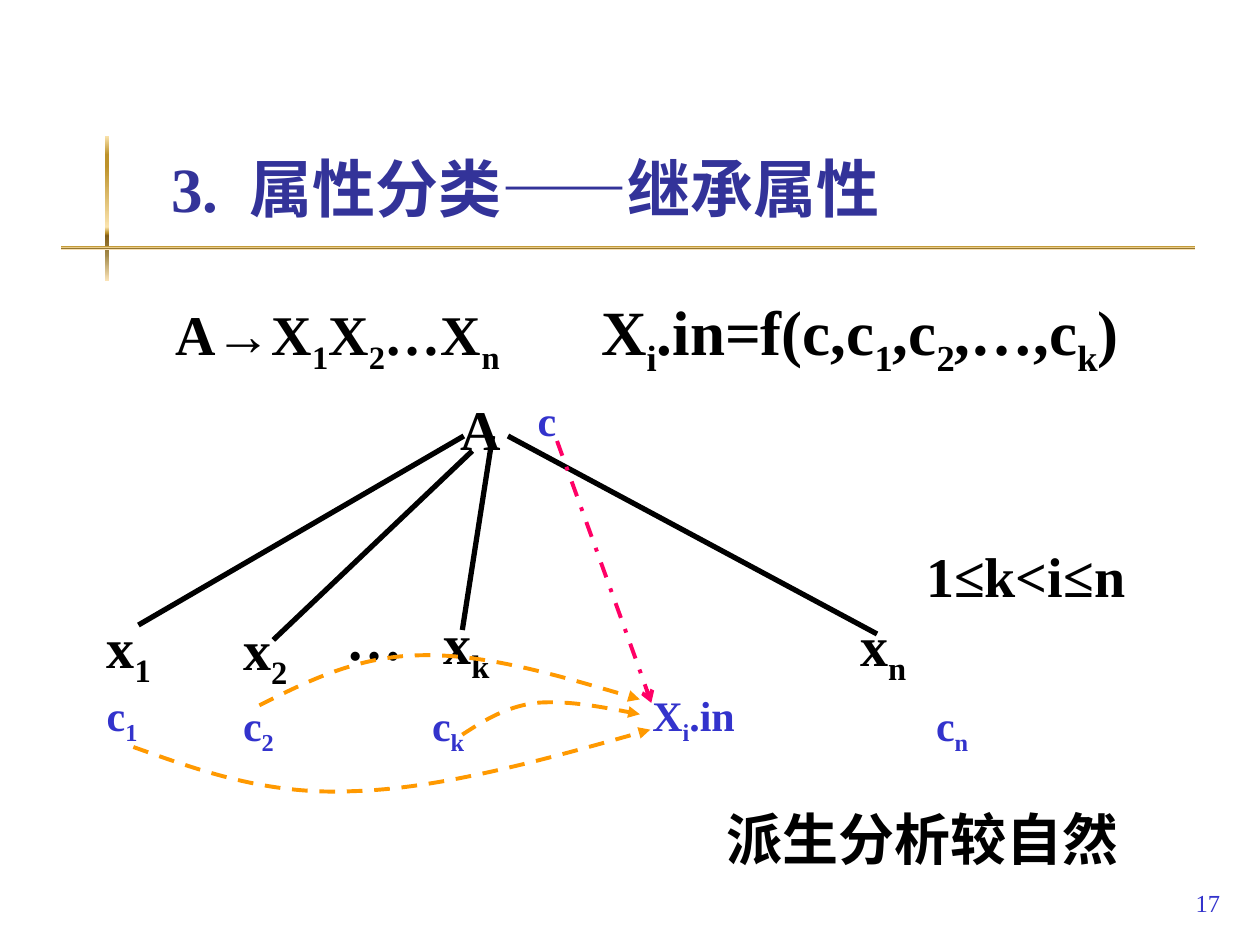
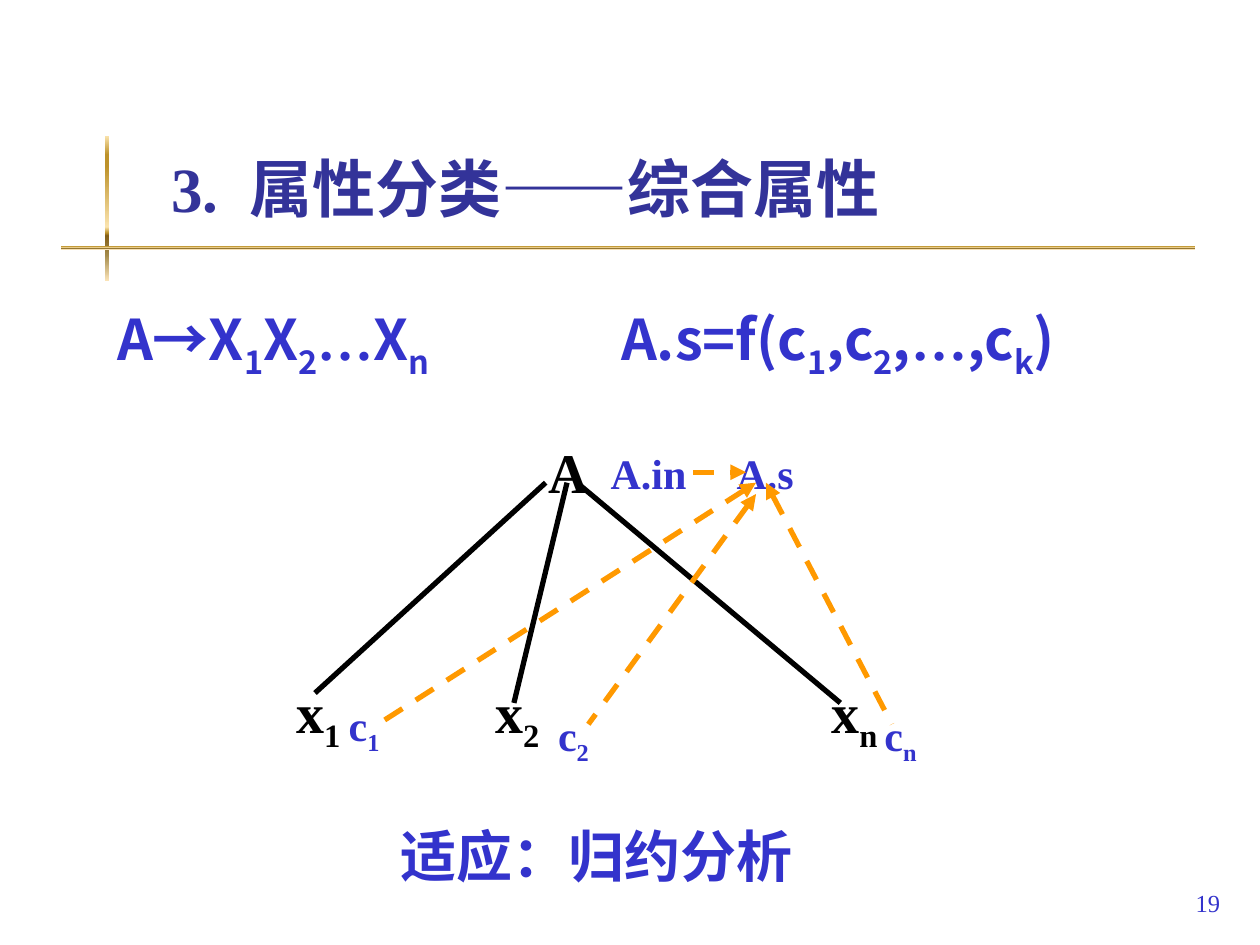
"""Build two slides on inherited and synthesized attributes in a syntax tree."""
from lxml import etree
from pptx import Presentation
from pptx.dml.color import RGBColor
from pptx.enum.dml import MSO_LINE
from pptx.enum.shapes import MSO_CONNECTOR, MSO_SHAPE
from pptx.enum.text import MSO_ANCHOR, MSO_AUTO_SIZE, PP_ALIGN
from pptx.oxml.ns import qn
from pptx.util import Cm, Pt

DASH, DASH_DOT = MSO_LINE.DASH, MSO_LINE.DASH_DOT
STRAIGHT, RECTANGLE = MSO_CONNECTOR.STRAIGHT, MSO_SHAPE.RECTANGLE
TOP, BOTTOM = MSO_ANCHOR.TOP, MSO_ANCHOR.BOTTOM
LEFT, RIGHT = PP_ALIGN.LEFT, PP_ALIGN.RIGHT
GROW, FIXED = MSO_AUTO_SIZE.SHAPE_TO_FIT_TEXT, MSO_AUTO_SIZE.NONE

BLACK = RGBColor(0x00, 0x00, 0x00)
NAVY = RGBColor(0x33, 0x33, 0x99)
BLUE = RGBColor(0x33, 0x33, 0xCC)
ORANGE = RGBColor(0xFF, 0x99, 0x00)
PINK = RGBColor(0xFF, 0x00, 0x66)
GOLD_STOPS = [
    (0, RGBColor(0xFB, 0xE4, 0xAE)), (13, RGBColor(0xBD, 0x92, 0x2A)),
    (21, RGBColor(0xBD, 0x92, 0x2A)), (63, RGBColor(0xFB, 0xE4, 0xAE)),
    (67, RGBColor(0xBD, 0x92, 0x2A)), (69, RGBColor(0x83, 0x5E, 0x17)),
    (82, RGBColor(0xA2, 0x89, 0x49)), (100, RGBColor(0xFA, 0xE3, 0xB7)),
]
SERIF, SANS, SANS_JP = "Times New Roman", "Noto Sans CJK SC", "Noto Sans CJK JP"
NODE_HEIGHT, ATTRIBUTE_HEIGHT = 1.6, 1.27
TAB_WIDTH = Cm(2.54)


def write_text(slide, text, left, top, width, height=NODE_HEIGHT, *, size=32,
               color=BLACK, font=SERIF, bold=True, align=LEFT, anchor=TOP,
               auto_size=GROW, space_before=50, hanging=0, line_spacing=None):
    """Add a text box; braces mark subscripts."""
    box = slide.shapes.add_textbox(Cm(left), Cm(top), Cm(width), Cm(height))
    frame = box.text_frame
    frame.word_wrap = True
    frame.auto_size = auto_size
    frame.vertical_anchor = anchor
    paragraph = frame.paragraphs[0]
    properties = paragraph._p.get_or_add_pPr()
    properties.set("defTabSz", str(TAB_WIDTH))
    if space_before:
        before = etree.SubElement(properties, qn("a:spcBef"))
        etree.SubElement(before, qn("a:spcPct"), val=str(space_before * 1000))
    if hanging:
        properties.set("marL", str(Cm(hanging)))
        properties.set("indent", str(-Cm(hanging)))
    if line_spacing:
        paragraph.line_spacing = line_spacing
    paragraph.alignment = align
    for index, part in enumerate(text.replace("}", "{").split("{")):
        for piece in part.replace("…", "|…|").split("|"):
            if not piece:
                continue
            run = paragraph.add_run()
            run.text = piece
            run.font.size = Pt(size[index] if isinstance(size, list) else size)
            run.font.bold = bold
            run.font.color.rgb = color
            run.font.name = SERIF if piece == "…" else font
            run_properties = run._r.get_or_add_rPr()
            if font != SERIF and piece != "…":
                etree.SubElement(run_properties, qn("a:ea"), typeface=font)
            if index % 2:
                run_properties.set("baseline", "-25000")


def draw_stroke(slide, points, *, color=BLACK, width=3, dash=None,
                arrow=None, arrow_end="a:tailEnd"):
    """Draw a line through two points, or a Bézier curve through more."""
    points = [(Cm(x), Cm(y)) for x, y in points]
    if len(points) == 2:
        stroke = slide.shapes.add_connector(STRAIGHT, *points[0], *points[1])
        etree.SubElement(stroke._element.spPr, qn("a:effectLst"))
    else:
        builder = slide.shapes.build_freeform(*points[0])
        builder.add_line_segments(points[1:], close=False)
        stroke = builder.convert_to_shape()
        stroke.shadow.inherit = False
        stroke.fill.background()
        outline = stroke._element.spPr.find(".//" + qn("a:path"))
        segments = outline.findall(qn("a:lnTo"))
        for start in range(0, len(segments), 3):
            curve = etree.SubElement(outline, qn("a:cubicBezTo"))
            for segment in segments[start:start + 3]:
                curve.append(segment[0])
                outline.remove(segment)
    stroke.line.color.rgb = color
    stroke.line.width = Pt(width)
    if dash:
        stroke.line.dash_style = dash
    if arrow:
        etree.SubElement(stroke.line._get_or_add_ln(), qn(arrow_end), type=arrow)


presentation = Presentation()
presentation.slide_width, presentation.slide_height = Cm(25.4), Cm(19.05)

slides = []
for title, number in [("3.\t属性分类——继承属性", "17"), ("3.\t属性分类——综合属性", "19")]:
    slide = presentation.slides.add_slide(presentation.slide_layouts[6])
    slides.append(slide)
    for bounds in [(2.12, 2.74, 0.08, 2.92), (1.23, 4.95, 22.86, 0.08)]:
        bar = slide.shapes.add_shape(RECTANGLE, *map(Cm, bounds))
        bar.shadow.inherit = False
        bar.line.fill.background()
        bar.fill.gradient()
        bar.fill.gradient_angle = 270
        stops = bar._element.spPr.find(".//" + qn("a:gsLst"))
        stops.clear()
        for position, gold in GOLD_STOPS:
            stop = etree.SubElement(stops, qn("a:gs"), pos=str(position * 1000))
            etree.SubElement(stop, qn("a:srgbClr"), val=str(gold))
    write_text(slide, title, 3.2, 0.6, 21.64, 4.06, size=36, color=NAVY,
               anchor=BOTTOM, auto_size=FIXED, space_before=0, hanging=1.59)
    write_text(slide, number, 19.57, 17.35, 5.28, 1.27, size=14, color=BLUE,
               bold=False, align=RIGHT, anchor=BOTTOM, auto_size=FIXED,
               space_before=0)

inherited, synthesized = slides

write_text(inherited, "A→X{1}X{2}…X{n\t}X{i}.in=f(c,c{1},c{2},…,c{k})",
           3.28, 5.6, 21.59, 2.11, size=[32] * 6 + [36] * 9,
           auto_size=FIXED, space_before=20, hanging=0.97, line_spacing=1.1)
write_text(synthesized, "A→X{1}X{2}…X{n}\t\tA.s=f(c{1},c{2},…,c{k})",
           2.11, 6.02, 20.52, color=BLUE, font=SANS)

tree_nodes = [
    (inherited, "A", 9.04, 7.82, 2.08), (inherited, "x{1}", 1.9, 12.22, 2.39),
    (inherited, "x{2}", 4.65, 12.27, 2.39), (inherited, "…", 6.73, 12.07, 2.39),
    (inherited, "x{k}", 8.69, 12.14, 2.39), (inherited, "x{n}", 17.09, 12.19, 2.39),
    (synthesized, "A", 10.8, 8.69, 1.47), (synthesized, "x{1}", 5.72, 13.54, 1.7),
    (synthesized, "x{2}", 9.73, 13.54, 1.7), (synthesized, "x{n}", 16.51, 13.54, 1.7),
]
for slide, label, left, top, width in tree_nodes:
    write_text(slide, label, left, top, width)

attributes = [
    (inherited, "c", 10.59, 7.82, 1.47), (inherited, "c{1}", 1.9, 13.77, 1.7),
    (inherited, "c{2}", 4.65, 13.97, 1.7), (inherited, "c{k}", 8.46, 13.97, 1.7),
    (inherited, "X{i}.in", 12.9, 13.77, 2.54), (inherited, "c{n}", 18.62, 13.97, 1.7),
    (synthesized, "A.in", 12.06, 8.89, 2.34), (synthesized, "A.s", 14.6, 8.89, 2.11),
    (synthesized, "c{1}", 6.78, 13.97, 1.7), (synthesized, "c{2}", 11, 14.17, 1.7),
    (synthesized, "c{n}", 17.58, 14.17, 1.7),
]
for slide, label, left, top, width in attributes:
    write_text(slide, label, left, top, width, ATTRIBUTE_HEIGHT, size=24, color=BLUE)

branches = [
    (inherited, (9.35, 8.79), (2.79, 12.6)), (inherited, (9.52, 9.09), (5.51, 12.9)),
    (inherited, (9.93, 8.79), (9.32, 12.7)), (inherited, (10.24, 8.79), (17.68, 12.78)),
    (synthesized, (11, 9.73), (6.35, 13.97)),
    (synthesized, (11.43, 9.73), (10.36, 14.17)),
    (synthesized, (11.63, 9.73), (16.94, 14.17)),
]
for slide, parent, child in branches:
    draw_stroke(slide, [parent, child])

sibling_flows = [
    [(9.32, 14.81), (9.75, 14.53), (10.19, 14.25), (10.8, 14.17),
     (11.4, 14.12), (12.14, 14.25), (12.9, 14.4)],
    [(5.23, 14.22), (6.22, 13.72), (7.21, 13.23), (8.48, 13.21),
     (9.78, 13.18), (11.33, 13.64), (12.9, 14.1)],
    [(2.69, 15.06), (4.04, 15.54), (5.38, 16.03), (7.11, 15.95),
     (8.84, 15.9), (10.97, 15.32), (13.11, 14.71)],
]
for flow in sibling_flows:
    draw_stroke(inherited, flow, color=ORANGE, width=2.25, dash=DASH, arrow="triangle")
parent_flow = [(11.23, 8.89), (12.01, 11.05), (12.8, 13.23), (13.13, 14.17)]
draw_stroke(inherited, parent_flow, color=PINK, width=2.25, dash=DASH_DOT, arrow="arrow")

child_flows = [
    [(15.24, 9.73), (7.62, 14.6)], [(15.24, 9.96), (11.86, 14.6)],
    [(15.44, 9.73), (17.98, 14.6)],
]
for flow in child_flows:
    draw_stroke(synthesized, flow, color=ORANGE, dash=DASH, arrow="triangle",
                arrow_end="a:headEnd")
draw_stroke(synthesized, [(13.97, 9.52), (15.04, 9.52)], color=ORANGE, dash=DASH,
            arrow="triangle")

write_text(inherited, "1≤k<i≤n", 18.42, 10.8, 6.35)
write_text(inherited, "派生分析较自然", 14.4, 16.1, 8.89)
write_text(synthesized, "适应：归约分析", 7.82, 16.43, 8.6, color=BLUE,
           font=SANS_JP, space_before=0)

presentation.save("out.pptx")
